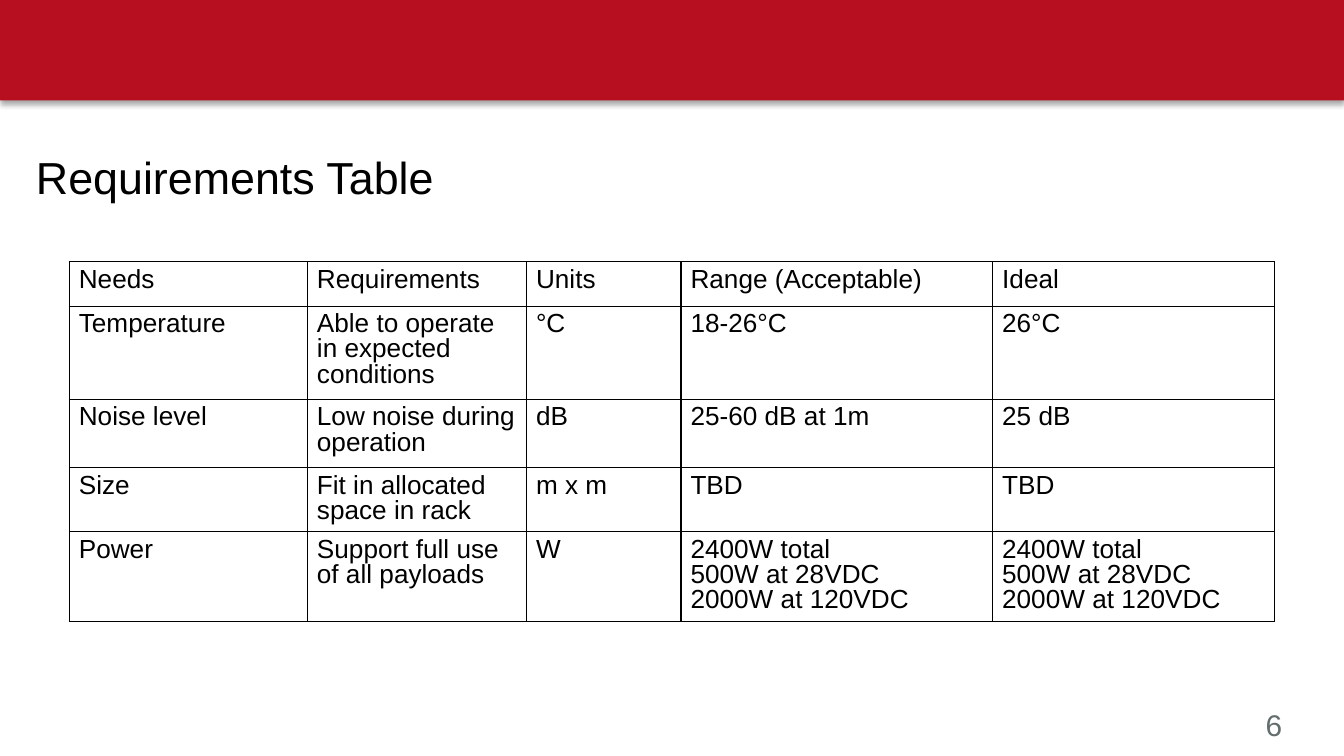
from lxml import etree
from pptx import Presentation
from pptx.dml.color import RGBColor
from pptx.enum import shapes, text
from pptx.oxml import ns
from pptx.util import Cm, Pt

RED = RGBColor(0xB7, 0x0F, 0x20)
BLACK = RGBColor(0, 0, 0)
GRAY = RGBColor(0x63, 0x6D, 0x6E)
FONT = "Arial"

TITLE = "Requirements Table"
PAGE = "6"
LOAD = "2400W total\n500W at 28VDC\n2000W at 120VDC"
ROWS = [
    ("Needs", "Requirements", "Units", "Range (Acceptable)", "Ideal"),
    ("Temperature", "Able to operate in expected conditions", "°C", "18-26°C", "26°C"),
    ("Noise level", "Low noise during operation", "dB", "25-60 dB at 1m", "25 dB"),
    ("Size", "Fit in allocated space in rack", "m x m", "TBD", "TBD"),
    ("Power", "Support full use of all payloads", "W", LOAD, LOAD),
]
WIDTHS = [4.5, 4.14, 2.92, 5.89, 5.33]
HEIGHTS = [0.84, 1.76, 1.29, 1.21, 1.68]


def add(parent, tag, **attrs):
    return etree.SubElement(parent, ns.qn(tag), attrs)


def style(par, size, color):
    par.font.name = FONT
    par.font.size = Pt(size)
    par.font.color.rgb = color


def label(slide, words, box, size, color):
    frame = slide.shapes.add_textbox(*map(Cm, box)).text_frame
    frame.word_wrap = True
    frame.auto_size = text.MSO_AUTO_SIZE.SHAPE_TO_FIT_TEXT
    frame.text = words
    style(frame.paragraphs[0], size, color)


def banner(slide, width):
    bar = slide.shapes.add_shape(shapes.MSO_SHAPE.RECTANGLE, 0, 0, width, Cm(1.9))
    bar.fill.solid()
    bar.fill.fore_color.rgb = RED
    bar.line.fill.background()
    bar.shadow.inherit = False
    effect = bar._element.spPr.find(ns.qn("a:effectLst"))
    shade = add(effect, "a:outerShdw", blurRad=str(Pt(3.1)), dist=str(Pt(1.8)),
                dir="5400000", algn="t", rotWithShape="0")
    add(add(shade, "a:srgbClr", val=str(BLACK)), "a:alpha", val="35000")


def border(cell):
    props = cell._tc.get_or_add_tcPr()
    for side in "LRTB":
        line = add(props, f"a:ln{side}", w=str(Pt(0.75)))
        add(add(line, "a:solidFill"), "a:srgbClr", val=str(BLACK))


def fill_cell(cell, words):
    cell.margin_left = cell.margin_right = Cm(0.18)
    cell.margin_top = cell.margin_bottom = Cm(0.13)
    border(cell)
    cell.fill.background()
    cell.text = words
    for par in cell.text_frame.paragraphs:
        par.line_spacing = Pt(13.5)
        style(par, 14, BLACK)


def grid(slide):
    table = slide.shapes.add_table(
        len(ROWS), len(WIDTHS), Cm(1.31), Cm(4.95),
        Cm(sum(WIDTHS)), Cm(sum(HEIGHTS))).table
    table.first_row = table.horz_banding = False
    for col, width in zip(table.columns, WIDTHS):
        col.width = Cm(width)
    for row, height, words in zip(table.rows, HEIGHTS, ROWS):
        row.height = Cm(height)
        for cell, word in zip(row.cells, words):
            fill_cell(cell, word)


def main():
    deck = Presentation()
    deck.slide_width, deck.slide_height = Cm(25.4), Cm(14.29)
    slide = deck.slides.add_slide(deck.slide_layouts[6])
    banner(slide, deck.slide_width)
    label(slide, PAGE, (23.67, 13.23, 1.22, 0.94), 16, GRAY)
    grid(slide)
    label(slide, TITLE, (0.43, 2.7, 14.35, 1.27), 24, BLACK)
    deck.save("out.pptx")


if __name__ == "__main__":
    main()
